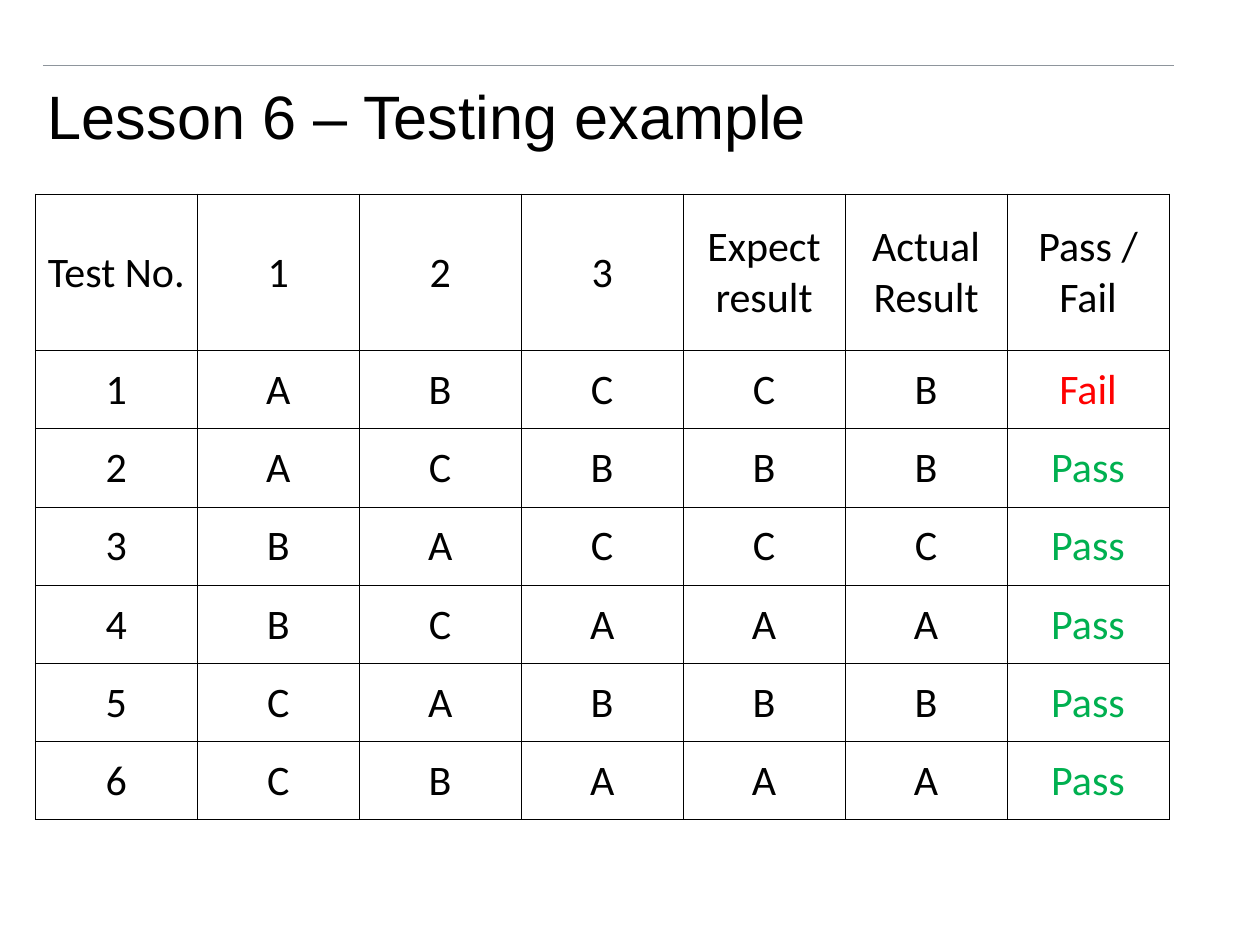
from dataclasses import dataclass

from lxml.etree import SubElement
from pptx import Presentation
from pptx.dml.color import RGBColor
from pptx.enum.shapes import MSO_CONNECTOR
from pptx.enum.text import MSO_ANCHOR, PP_ALIGN
from pptx.oxml.ns import qn
from pptx.slide import Slide
from pptx.table import _Cell
from pptx.text.text import TextFrame
from pptx.util import Inches, Pt

COLORS = {"ink": "000000", "rule": "8E959C", "Fail": "FF0000", "Pass": "00B050"}

SLIDE_WIDTH, SLIDE_HEIGHT = Inches(10), Inches(7.5)
LEFT = Inches(0.28)
CONTENT_WIDTH = Inches(9)
TITLE_TOP, TITLE_HEIGHT = Inches(0.29), Inches(1.25)
GRID_TOP = TITLE_TOP + TITLE_HEIGHT
ROW_HEIGHT = Inches(0.621)
HEADER_ROWS_TALL = 2

HEADINGS = ["Test No.", "1", "2", "3", "Expect result", "Actual Result", "Pass / Fail"]


@dataclass(frozen=True)
class TestCase:
    inputs: str
    expected: str
    actual: str

    @property
    def verdict(self) -> str:
        return "Pass" if self.expected == self.actual else "Fail"

    def cells(self, number: int) -> list[str]:
        return [str(number), *self.inputs, self.expected, self.actual, self.verdict]


TEST_CASES = [
    TestCase("ABC", "C", "B"),
    TestCase("ACB", "B", "B"),
    TestCase("BAC", "C", "C"),
    TestCase("BCA", "A", "A"),
    TestCase("CAB", "B", "B"),
    TestCase("CBA", "A", "A"),
]


def format_text(frame: TextFrame, font_name: str, size: float, color: str) -> None:
    for paragraph in frame.paragraphs:
        for run in paragraph.runs:
            run.font.name = font_name
            run.font.size = Pt(size)
            run.font.color.rgb = RGBColor.from_string(color)


def add_rule(slide: Slide) -> None:
    """Draw the thin line above the title."""
    y = Inches(0.52)
    rule = slide.shapes.add_connector(
        MSO_CONNECTOR.STRAIGHT, Inches(0.34), y, Inches(9.32), y
    )
    rule.line.color.rgb = RGBColor.from_string(COLORS["rule"])
    rule.line.width = Pt(0.75)
    SubElement(rule._element.spPr, qn("a:effectLst"))


def add_title(slide: Slide, title: str) -> None:
    frame = slide.shapes.add_textbox(
        LEFT, TITLE_TOP, CONTENT_WIDTH, TITLE_HEIGHT
    ).text_frame
    frame.word_wrap = True
    frame.vertical_anchor = MSO_ANCHOR.MIDDLE
    frame.text = title
    format_text(frame, "Arial", 35, COLORS["ink"])


def add_borders(cell: _Cell) -> None:
    properties = cell._tc.get_or_add_tcPr()
    for position, side in enumerate(("a:lnL", "a:lnR", "a:lnT", "a:lnB")):
        border = SubElement(properties, qn(side), w=str(Pt(0.5)))
        fill = SubElement(border, qn("a:solidFill"))
        SubElement(fill, qn("a:srgbClr"), val=COLORS["ink"])
        properties.insert(position, border)


def fill_cell(cell: _Cell, content: str) -> None:
    cell.fill.background()
    add_borders(cell)
    cell.margin_left = cell.margin_right = cell.margin_top = Inches(0.01)
    cell.margin_bottom = 0
    cell.vertical_anchor = MSO_ANCHOR.MIDDLE
    cell.text_frame.text = content
    cell.text_frame.paragraphs[0].alignment = PP_ALIGN.CENTER
    format_text(cell.text_frame, "Calibri", 24, COLORS.get(content, COLORS["ink"]))


def add_test_table(slide: Slide, cases: list[TestCase]) -> None:
    rows = [HEADINGS] + [case.cells(n) for n, case in enumerate(cases, start=1)]
    height = ROW_HEIGHT * (len(cases) + HEADER_ROWS_TALL)
    table = slide.shapes.add_table(
        len(rows), len(HEADINGS), LEFT, GRID_TOP, CONTENT_WIDTH, height
    ).table
    table.first_row = table.horz_banding = False
    for row_index, contents in enumerate(rows):
        table.rows[row_index].height = ROW_HEIGHT * (1 if row_index else HEADER_ROWS_TALL)
        for column_index, content in enumerate(contents):
            fill_cell(table.cell(row_index, column_index), content)


def main() -> None:
    presentation = Presentation()
    presentation.slide_width = SLIDE_WIDTH
    presentation.slide_height = SLIDE_HEIGHT
    slide = presentation.slides.add_slide(presentation.slide_layouts[6])
    add_rule(slide)
    add_title(slide, "Lesson 6 – Testing example")
    add_test_table(slide, TEST_CASES)
    presentation.save("out.pptx")


if __name__ == "__main__":
    main()
